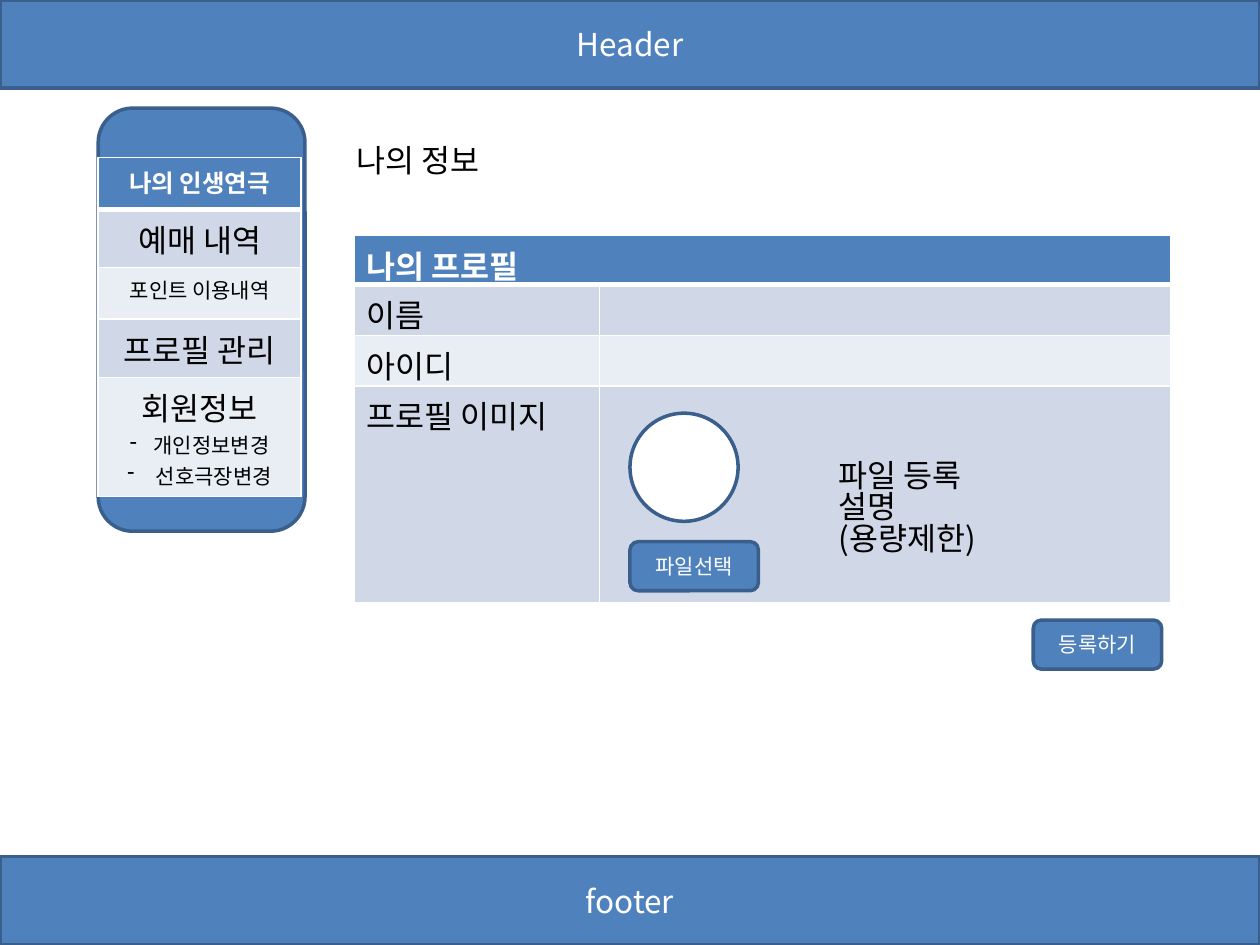
from lxml.etree import SubElement
from pptx import Presentation
from pptx.dml.color import RGBColor
from pptx.enum.shapes import MSO_SHAPE as SHAPE
from pptx.enum.text import MSO_ANCHOR as ANCHOR, PP_ALIGN as ALIGN
from pptx.oxml import parse_xml
from pptx.oxml.ns import qn
from pptx.util import Cm, Pt

FONT = "Noto Sans CJK KR"
BLUE, EDGE, WHITE, BLACK = "4F81BD", "3A5F8C", "FFFFFF", "000000"
BANDS = "D0D8E8", "E9EDF4"
NS = "http://schemas.openxmlformats.org/drawingml/2006/main"
BUTTON_W, BUTTON_H = 2.59, 0.99


def paint(fmt, color):
    """Fill a format with a solid hex colour."""
    fmt.solid()
    fmt.fore_color.rgb = RGBColor.from_string(color)


def add_run(p, text, size, color=BLACK, bold=False):
    """Append one styled run to a paragraph."""
    r = p.add_run()
    r.text = text
    r.font.size, r.font.bold, r.font.name = Pt(size), bold, FONT
    paint(r.font.fill, color)
    SubElement(r.font._element, qn("a:ea"), typeface=FONT)


def add_block(s, kind, box, text="", size=18, fill=BLUE):
    """Add an outlined shape with an optional centred label."""
    sp = s.shapes.add_shape(kind, *map(Cm, box))
    sp.shadow.inherit = False
    paint(sp.fill, fill)
    paint(sp.line.fill, EDGE)
    sp.line.width = Pt(2)
    if text:
        tf = sp.text_frame
        tf.vertical_anchor = ANCHOR.MIDDLE
        p = tf.paragraphs[0]
        p.alignment = ALIGN.CENTER
        add_run(p, text, size, WHITE)


def add_text(s, box, text):
    """Add a wrapping text box."""
    tf = s.shapes.add_textbox(*map(Cm, box)).text_frame
    tf.word_wrap = True
    p = tf.paragraphs[0]
    p.line_spacing = 0.83
    add_run(p, text, 18)


def add_grid(s, left, top, cols, rows):
    """Add a table with a blue heading row, banded rows and white borders."""
    frame = s.shapes.add_table(len(rows), len(cols), Cm(left), Cm(top),
                               Cm(sum(cols)), Cm(sum(rows)))
    table = frame.table
    for col, width in zip(table.columns, cols):
        col.width = Cm(width)
    for i, (row, height) in enumerate(zip(table.rows, rows)):
        row.height = Cm(height)
        for cell in row.cells:
            paint(cell.fill, BANDS[(i - 1) % 2] if i else BLUE)
            tc_pr = cell._tc.get_or_add_tcPr()
            for n, side in enumerate("LRTB"):
                thick = (i, side) in ((0, "B"), (1, "T"))
                tc_pr.insert(n, parse_xml(
                    f'<a:ln{side} xmlns:a="{NS}" w="{Pt(3 if thick else 1)}"><a:solidFill>'
                    f'<a:srgbClr val="{WHITE}"/></a:solidFill></a:ln{side}>'))
    return table


def add_dash(p):
    """Give a paragraph a dash bullet with a hanging indent."""
    p_pr = p._p.get_or_add_pPr()
    p_pr.set("marL", str(Cm(0.48)))
    p_pr.set("indent", str(-Cm(0.48)))
    SubElement(p_pr, qn("a:buFontTx"))
    SubElement(p_pr, qn("a:buChar"), char="-")


def add_sidebar(s, x, y, w, h):
    """Build the rounded menu panel with its list of entries."""
    add_block(s, SHAPE.ROUNDED_RECTANGLE, (x, y, w, h))
    entries = [
        [("나의 인생연극", 14)],
        [("예매 내역", 18)],
        [("포인트 이용내역", 12)],
        [("프로필 관리", 18)],
        [("회원정보", 18), ("개인정보변경", 12), (" 선호극장변경", 12)],
    ]
    table = add_grid(s, x, y + 1, [w - 0.08], [1.04] * 4 + [2.06])
    for i, lines in enumerate(entries):
        tf = table.cell(i, 0).text_frame
        for n, (text, size) in enumerate(lines):
            p = tf.add_paragraph() if n else tf.paragraphs[0]
            p.alignment = ALIGN.CENTER
            if n:
                add_dash(p)
            add_run(p, text, size, BLACK if i else WHITE, not i)


def add_profile(s, x, y, w):
    """Build the profile form with its image picker and submit button."""
    add_text(s, (x - 0.21, y - 1.9, 6.76, 1.02), "나의 정보")
    label_w = 4.95
    table = add_grid(s, x, y, [label_w, w - label_w], [0.99, 1.02, 1.02, 4.37])
    for row in table.rows:
        for cell in row.cells:
            cell.margin_bottom = Cm(0)
            cell.text_frame.paragraphs[0].font.size = Pt(18)
    table.cell(0, 0).merge(table.cell(0, 1))
    for i, text in enumerate(["나의 프로필", "이름", "아이디", "프로필 이미지"]):
        p = table.cell(i, 0).text_frame.paragraphs[0]
        add_run(p, text, 18, BLACK if i else WHITE, not i)
    picker_x = x + 5.56
    add_block(s, SHAPE.OVAL, (picker_x, y + 3.58, 2.18, 2.18), fill=WHITE)
    add_text(s, (x + 9.52, y + 4.45, 4.17, 1.8), "파일 등록 설명(용량제한)")
    for bx, by, text in [(picker_x, y + 6.17, "파일선택"),
                         (x + 13.69, y + 7.75, "등록하기")]:
        add_block(s, SHAPE.ROUNDED_RECTANGLE, (bx, by, BUTTON_W, BUTTON_H), text, 12)


def build():
    """Create and save the slide."""
    prs = Presentation()
    prs.slide_width, prs.slide_height = Cm(25.4), Cm(19.05)
    s = prs.slides.add_slide(prs.slide_layouts[6])
    bar_h = 1.78
    for y, text in [(0, "Header"), (19.05 - bar_h, "footer")]:
        add_block(s, SHAPE.RECTANGLE, (0, y, 25.4, bar_h), text)
    add_sidebar(s, 1.98, 2.18, 4.17, 8.53)
    add_profile(s, 7.14, 4.75, 16.46)
    prs.save("out.pptx")


build()
